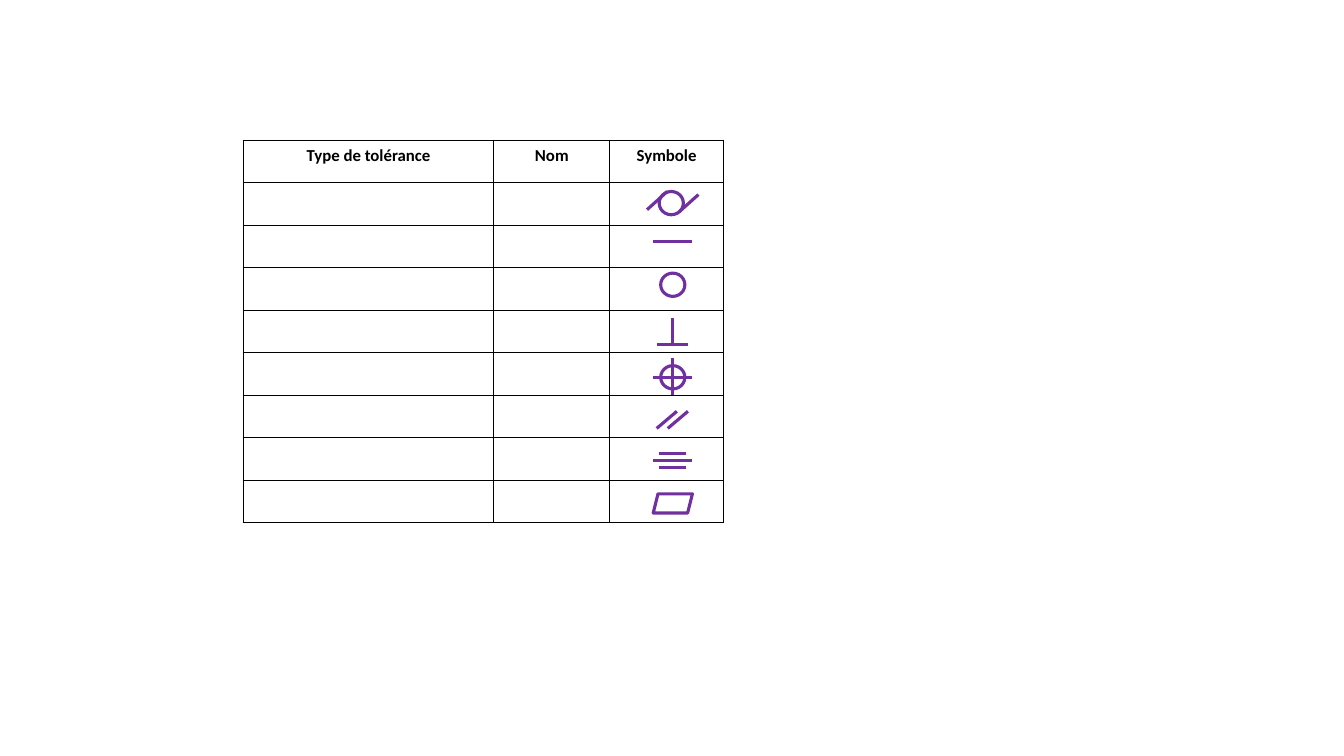
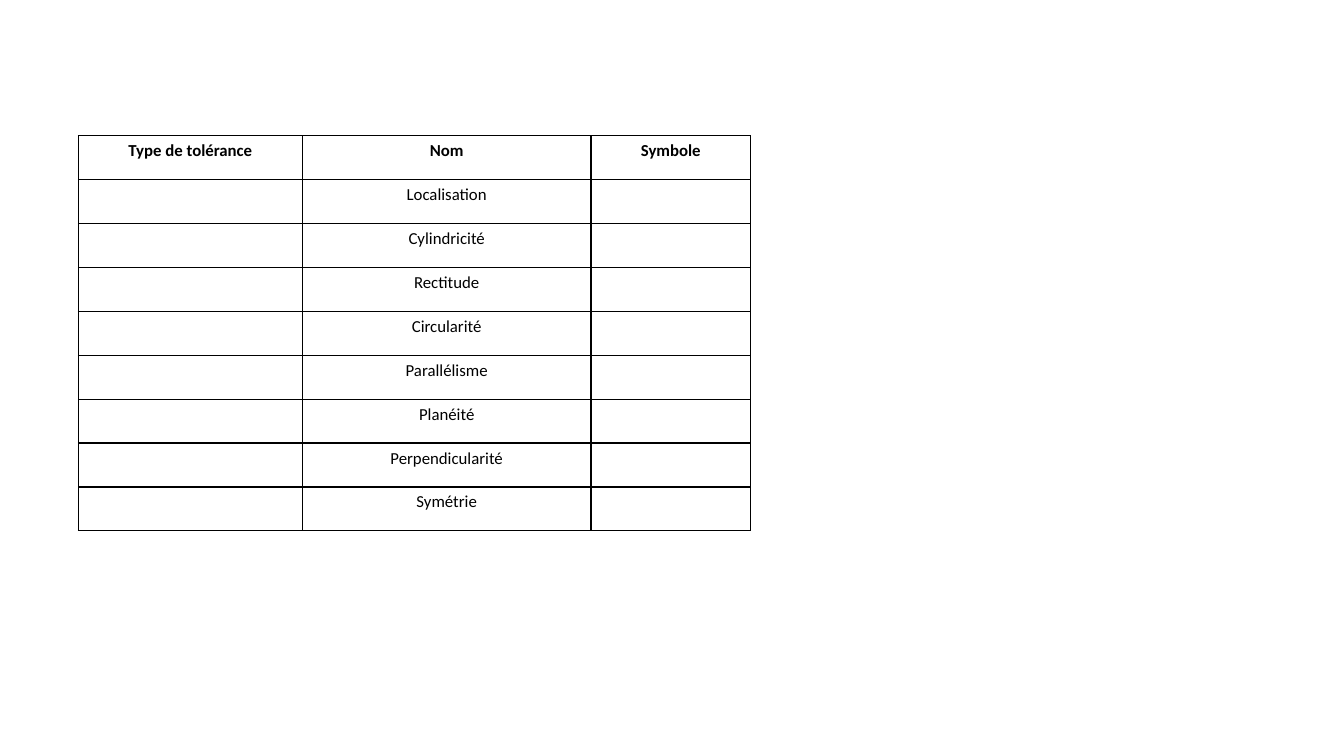
import pptx
import pptx.dml.color
import pptx.enum.shapes
import pptx.enum.text
import pptx.oxml
import pptx.oxml.ns
import pptx.util
import lxml.etree

Pt = pptx.util.Pt
PRESET = pptx.enum.shapes.MSO_SHAPE
BLACK = pptx.dml.color.RGBColor(0x00, 0x00, 0x00)
PURPLE = pptx.dml.color.RGBColor(0x70, 0x30, 0xA0)

HEADERS = ("Type de tolérance", "Nom", "Symbole")
NAMES = ("Localisation", "Cylindricité", "Rectitude", "Circularité",
         "Parallélisme", "Planéité", "Perpendicularité", "Symétrie")

SYMBOL_X = 480.6
CIRCLE = (PRESET.OVAL, 17.3, 16.6)
PARALLELOGRAM = (PRESET.PARALLELOGRAM, 28, 13.7)
AXIS = (-14, 0, 14, 0)

# Each symbol: center x, center y, then its parts around that center.
# Three values are a preset shape with its size, four are a line.
SYMBOLS = (
    (SYMBOL_X, 359.6, (PARALLELOGRAM,)),
    (SYMBOL_X, 203.4, (CIRCLE,)),
    (479.5, 145.1, ((-17.3, 4.7, -2.9, -8.3), CIRCLE, (5.8, 6.1, 19.4, -6.1))),
    (SYMBOL_X, 172.8, (AXIS,)),
    (SYMBOL_X, 246.2, ((-11.2, 0, 11.2, 0), (0, -18.7, 0, 0))),
    (SYMBOL_X, 299.9, ((-11.5, 6.1, 2.9, -6.1), (-3.6, 6.1, 10.8, -6.1))),
    (SYMBOL_X, 329, (AXIS, (-9.7, -5, 9.7, -5), (-9.7, 5, 9.7, 5))),
    (SYMBOL_X, 269.5, (CIRCLE, AXIS, (0, -13.7, 0, 13.7))),
)


class Deck:
    """Holds the shared style and the current slide."""

    font = {"name": "Calibri", "size": Pt(12)}
    symbol_width = Pt(2.25)
    border_width = Pt(1)

    def __init__(self, width, height):
        """Start an empty presentation of the given size."""
        self.presentation = pptx.Presentation()
        self.presentation.slide_width = Pt(width)
        self.presentation.slide_height = Pt(height)
        self.slide = None

    def add_slide(self):
        """Make a new blank slide the current one."""
        blank = self.presentation.slide_layouts[6]
        self.slide = self.presentation.slides.add_slide(blank)

    def outline(self, shape):
        """Give a symbol part the shared line style."""
        shape.line.color.rgb = PURPLE
        shape.line.width = self.symbol_width

    def line(self, shapes, x1, y1, x2, y2):
        """Draw a straight line without shadow."""
        connector = shapes.add_connector(
            pptx.enum.shapes.MSO_CONNECTOR.STRAIGHT,
            Pt(x1), Pt(y1), Pt(x2), Pt(y2))
        self.outline(connector)
        properties = connector.element.spPr
        lxml.etree.SubElement(properties, pptx.oxml.ns.qn("a:effectLst"))

    def preset(self, shapes, preset, center_x, center_y, width, height):
        """Draw an unfilled preset shape around a center."""
        shape = shapes.add_shape(
            preset, Pt(center_x - width / 2), Pt(center_y - height / 2),
            Pt(width), Pt(height))
        shape.shadow.inherit = False
        shape.fill.background()
        self.outline(shape)

    def symbol(self, center_x, center_y, parts):
        """Draw a tolerance symbol, grouped when it has several parts."""
        shapes = self.slide.shapes
        if len(parts) > 1:
            shapes = shapes.add_group_shape().shapes
        for part in parts:
            if len(part) == 3:
                preset, width, height = part
                self.preset(shapes, preset, center_x, center_y, width, height)
            else:
                x1, y1, x2, y2 = part
                self.line(shapes, center_x + x1, center_y + y1,
                          center_x + x2, center_y + y2)

    def borders(self, cell):
        """Put a black line on all four sides of a cell."""
        properties = cell._tc.get_or_add_tcPr()
        for position, side in enumerate(("lnL", "lnR", "lnT", "lnB")):
            border = pptx.oxml.parse_xml(
                f'<a:{side} {pptx.oxml.ns.nsdecls("a")} '
                f'w="{self.border_width}"><a:solidFill>'
                f'<a:srgbClr val="{BLACK}"/></a:solidFill></a:{side}>')
            properties.insert(position, border)

    def cell(self, cell, text, bold):
        """Fill in and format one table cell."""
        cell.fill.background()
        self.borders(cell)
        paragraph = cell.text_frame.paragraphs[0]
        paragraph.alignment = pptx.enum.text.PP_ALIGN.CENTER
        fonts = [paragraph.font]
        if text:
            run = paragraph.add_run()
            run.text = text
            fonts.append(run.font)
        for font in fonts:
            for name, value in {**self.font, "bold": bold}.items():
                setattr(font, name, value)
            font.color.rgb = BLACK

    def tolerance_table(self, left, top, widths, row_height, names):
        """Draw the tolerance table with a row for each name."""
        rows = [HEADERS] + [("", name, "") for name in names]
        table = self.slide.shapes.add_table(
            len(rows), len(widths), Pt(left), Pt(top),
            Pt(sum(widths)), Pt(row_height * len(rows))).table
        table.first_row = False
        table.horz_banding = False
        for column, width in zip(table.columns, widths):
            column.width = Pt(width)
        for row_index, texts in enumerate(rows):
            table.rows[row_index].height = Pt(row_height)
            for column_index, text in enumerate(texts):
                self.cell(table.cell(row_index, column_index), text,
                          bold=row_index == 0)


def main():
    """Build both slides and save them."""
    deck = Deck(960, 540)

    deck.add_slide()
    for center_x, center_y, parts in SYMBOLS:
        deck.symbol(center_x, center_y, parts)
    deck.tolerance_table(173.8, 100.2, (179, 82.8, 81.2), 30.36,
                         [""] * len(NAMES))

    deck.add_slide()
    deck.tolerance_table(56, 97, (160, 206.2, 113.9), 31.36, NAMES)

    deck.presentation.save("out.pptx")


main()
